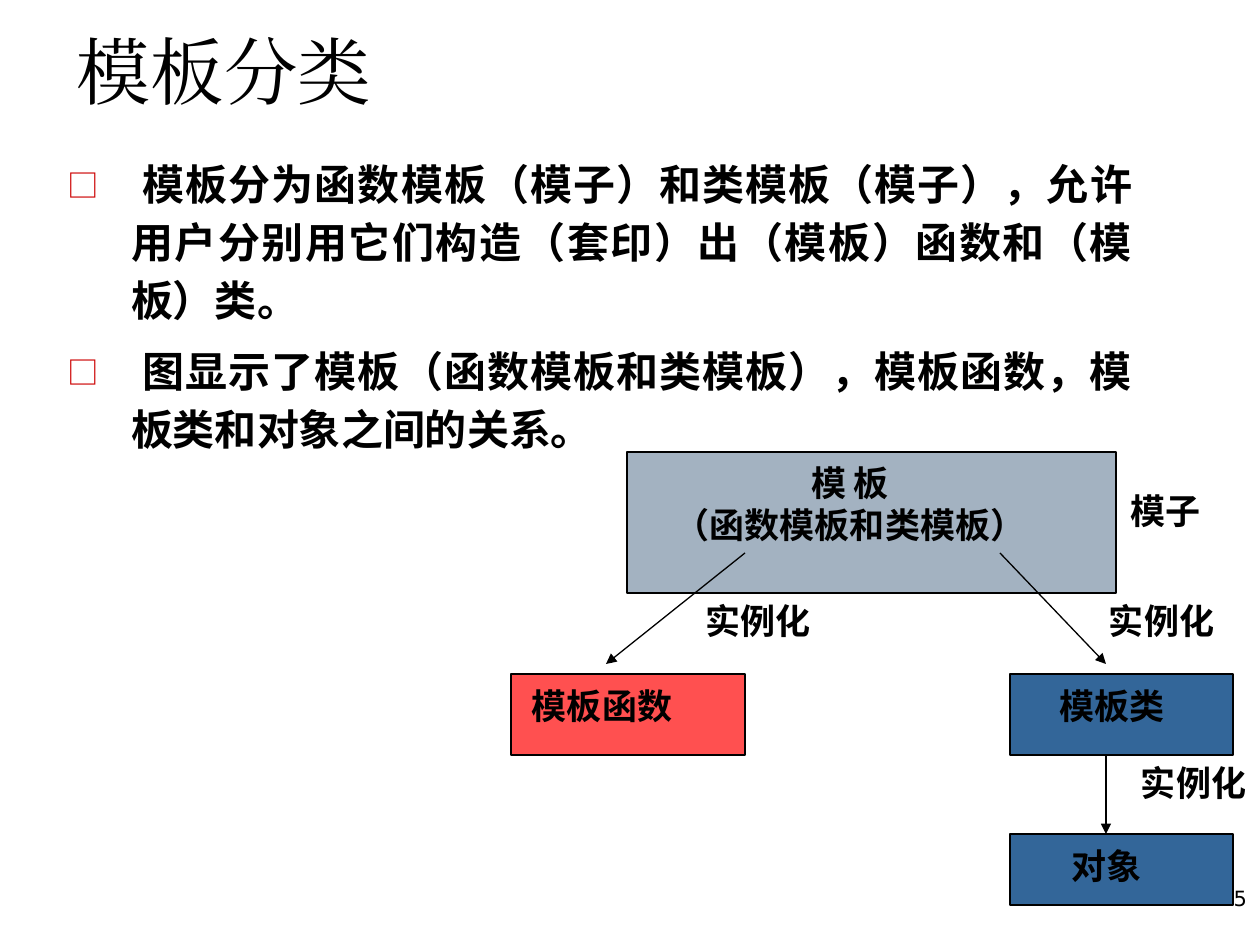
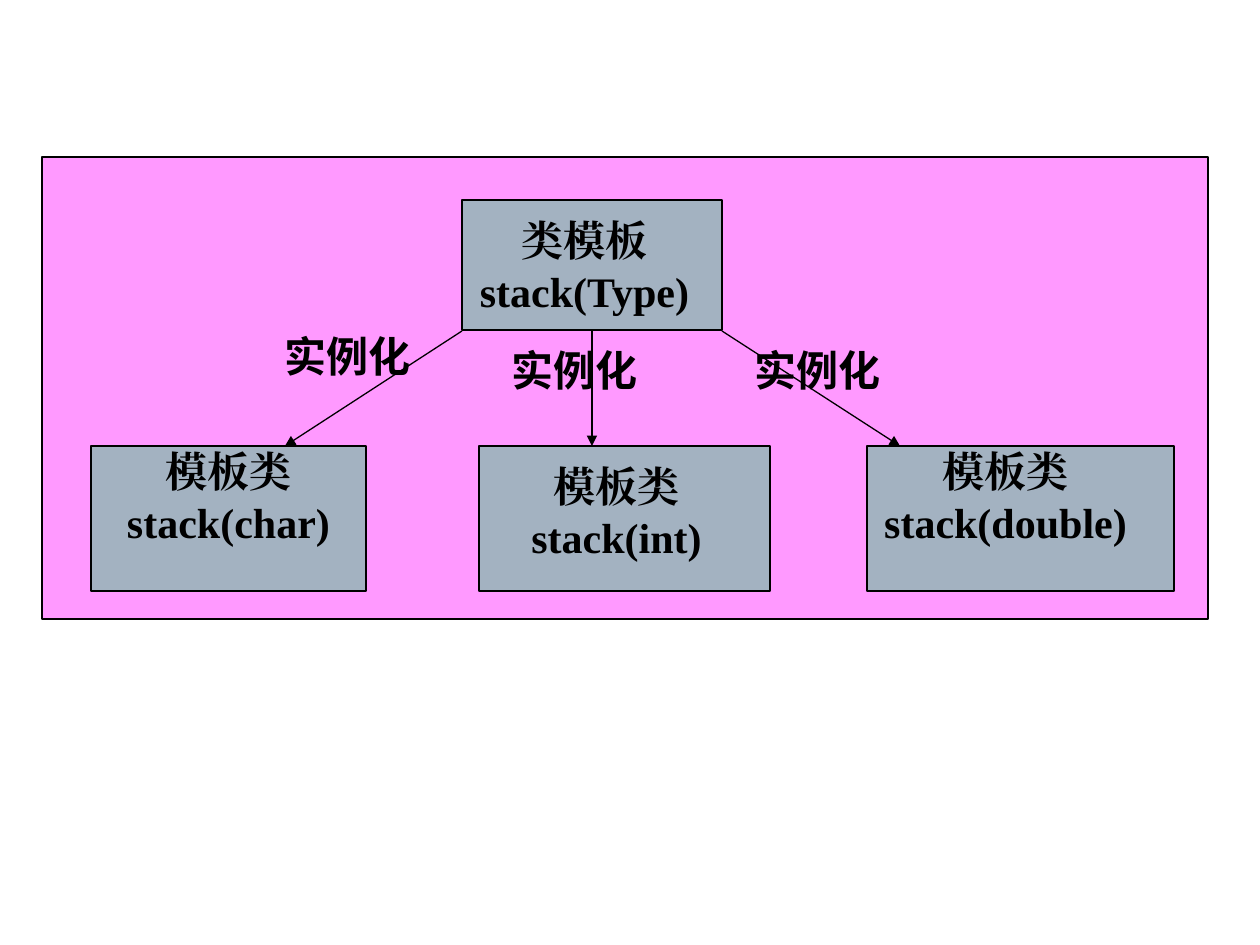
from lxml import etree
from pptx import Presentation
from pptx.dml.color import RGBColor
from pptx.enum.shapes import MSO_CONNECTOR, MSO_SHAPE
from pptx.enum.text import MSO_ANCHOR, PP_ALIGN
from pptx.oxml.ns import qn
from pptx.util import Emu, Pt

RECTANGLE = MSO_SHAPE.RECTANGLE
STRAIGHT = MSO_CONNECTOR.STRAIGHT
TOP, BOTTOM = MSO_ANCHOR.TOP, MSO_ANCHOR.BOTTOM
LEFT, CENTER, RIGHT, JUSTIFY = PP_ALIGN.LEFT, PP_ALIGN.CENTER, PP_ALIGN.RIGHT, PP_ALIGN.JUSTIFY

# Shared look
PX_PER_INCH = 126
BLACK, GREY, RED, BLUE = "000000", "A3B2C1", "FF5050", "336699"
PINK, BULLET_RED = "FF99FF", "CC0000"
SANS, ARIAL, SERIF, NUMBER_FONT = "Noto Sans CJK SC", "Arial", "Times New Roman", "DejaVu Sans"
LINE_WIDTH = Pt(0.75)
PADDED, FLUSH = (13, 6), (0, 0)
BULLET_INDENT = 64
INSTANTIATE = "实例化"


def px(length):
    return Emu(round(length * 914400 / PX_PER_INCH))


def color(hex_value):
    return RGBColor.from_string(hex_value)


# Text
def add_run(paragraph, text, size, font, bold):
    run = paragraph.add_run()
    run.text = text
    run.font.size = Pt(size)
    run.font.bold = bold
    run.font.name = font
    run.font.color.rgb = color(BLACK)
    east_asian = etree.SubElement(run._r.get_or_add_rPr(), qn("a:ea"))
    east_asian.set("typeface", font)


def add_text(slide, box, paragraphs, size, font=SANS, bold=True,
             align=LEFT, inset=FLUSH, anchor=TOP):
    """Each paragraph is a string, or a list of (text, font) runs."""
    frame = slide.shapes.add_textbox(*map(px, box)).text_frame
    frame.word_wrap = True
    frame.vertical_anchor = anchor
    frame.margin_left = frame.margin_right = px(inset[0])
    frame.margin_top = frame.margin_bottom = px(inset[1])
    for index, content in enumerate(paragraphs):
        paragraph = frame.add_paragraph() if index else frame.paragraphs[0]
        paragraph.alignment = align
        runs = [(content, font)] if isinstance(content, str) else content
        for text, run_font in runs:
            add_run(paragraph, text, size, run_font, bold)
    return frame


def add_bullet(paragraph):
    properties = paragraph._p.get_or_add_pPr()
    properties.set("marL", str(px(BULLET_INDENT)))
    properties.set("indent", str(-px(BULLET_INDENT)))
    bullet_color = etree.SubElement(properties, qn("a:buClr"))
    etree.SubElement(bullet_color, qn("a:srgbClr")).set("val", BULLET_RED)
    etree.SubElement(properties, qn("a:buSzPct")).set("val", "75000")
    etree.SubElement(properties, qn("a:buFont")).set("typeface", SANS)
    etree.SubElement(properties, qn("a:buChar")).set("char", "□")


def add_bullet_list(slide, box, items):
    frame = add_text(slide, box, items, 24, align=JUSTIFY, inset=PADDED)
    for index, paragraph in enumerate(frame.paragraphs):
        add_bullet(paragraph)
        paragraph.line_spacing = 1.15
        if index:
            paragraph.space_before = Pt(7.5)


# Diagram parts
def add_box(slide, box, fill):
    shape = slide.shapes.add_shape(RECTANGLE, *map(px, box))
    shape.shadow.inherit = False
    shape.fill.solid()
    shape.fill.fore_color.rgb = color(fill)
    shape.line.color.rgb = color(BLACK)
    shape.line.width = LINE_WIDTH


def add_arrow(slide, start, end):
    arrow = slide.shapes.add_connector(STRAIGHT, *map(px, start + end))
    arrow.line.color.rgb = color(BLACK)
    arrow.line.width = LINE_WIDTH
    etree.SubElement(arrow.line._get_or_add_ln(), qn("a:tailEnd")).set("type", "triangle")
    etree.SubElement(arrow._element.spPr, qn("a:effectLst"))


# Slides
def build_classification(slide):
    add_text(slide, (64, 26, 1102, 94), ["模板分类"], 42, SERIF, False,
             inset=PADDED, anchor=BOTTOM)
    add_bullet_list(slide, (54, 145, 1091, 436), [
        [(" 模板分为函数模板（", SANS), ("模子", ARIAL), ("）和类模板（", SANS),
         ("模子", ARIAL), ("），允许用户分别用它们构造（", SANS), ("套印）出", ARIAL),
         ("（模板）函数和（模板）类。", SANS)],
        " 图显示了模板（函数模板和类模板），模板函数，模板类和对象之间的关系。",
    ])
    add_text(slide, (990, 880, 270, 65), ["5"], 12, NUMBER_FONT, False,
             align=RIGHT, inset=PADDED)

    # Template, its instances and the object
    nodes = [
        ((627, 452, 489, 141), GREY, (627, 462, 446, 84),
         ["模 板", "（函数模板和类模板）"], CENTER),
        ((511, 674, 234, 81), RED, (532, 684, 170, 42), ["模板函数"], LEFT),
        ((1010, 674, 223, 81), BLUE, (1022, 684, 180, 42), ["模板类"], CENTER),
        ((1010, 834, 223, 71), BLUE, (1032, 844, 149, 42), ["对象"], CENTER),
    ]
    for box, fill, caption_box, caption, align in nodes:
        add_box(slide, box, fill)
        add_text(slide, caption_box, caption, 20, align=align)

    for start, end in [((745, 553), (606, 664)), ((1000, 553), (1106, 664)),
                       ((1106, 755), (1106, 834))]:
        add_arrow(slide, start, end)

    for left, top, label, font in [(692, 593, INSTANTIATE, SANS),
                                   (1128, 755, INSTANTIATE, SANS),
                                   (1096, 593, INSTANTIATE, SANS),
                                   (1118, 483, "模子", ARIAL)]:
        add_text(slide, (left, top, 132, 55), [label], 20, font, inset=PADDED)


def build_stack_example(slide):
    add_box(slide, (42, 157, 1166, 462), PINK)

    # Class template
    add_box(slide, (462, 200, 260, 130), GREY)
    add_text(slide, (431, 215, 307, 101), ["类模板stack(Type)"], 24, SERIF, align=CENTER)

    # Template classes, each one wider than the last
    captions = [("char", (91, 446, 275, 101)), ("int", (479, 461, 275, 101)),
                ("double", (852, 446, 307, 101))]
    for index, (type_name, caption_box) in enumerate(captions):
        add_box(slide, (91 + 388 * index, 446, 275 + 16 * index, 145), GREY)
        add_text(slide, caption_box, [f"模板类stack({type_name})"], 24, SERIF, align=CENTER)

    # Instantiation arrows and labels
    for start_x, end_x in [(462, 285), (592, 592), (722, 900)]:
        add_arrow(slide, (start_x, 331), (end_x, 446))
    for left, top in [(285, 331), (512, 345), (755, 345)]:
        add_text(slide, (left, top, 178, 50), [INSTANTIATE], 24)


def main():
    deck = Presentation()
    deck.slide_width, deck.slide_height = px(1260), px(945)
    blank = deck.slide_layouts[6]
    for build in (build_classification, build_stack_example):
        build(deck.slides.add_slide(blank))
    deck.save("out.pptx")


if __name__ == "__main__":
    main()
